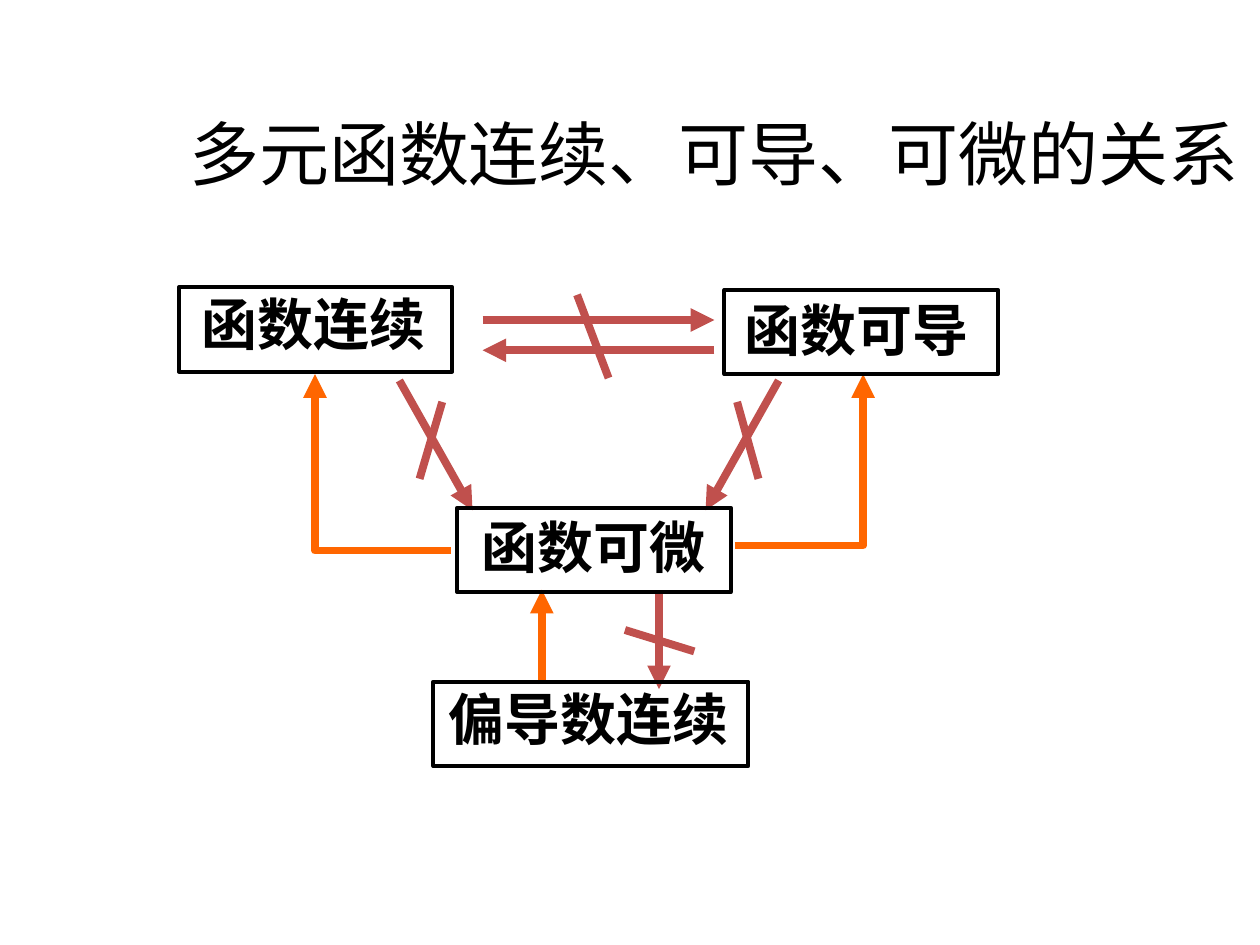
from lxml import etree
from pptx import Presentation
from pptx.dml.color import RGBColor
from pptx.enum.shapes import MSO_CONNECTOR as Connector, MSO_SHAPE as Shape
from pptx.enum.text import MSO_ANCHOR as Anchor, MSO_AUTO_SIZE as AutoSize, PP_ALIGN as Align
from pptx.oxml.ns import qn
from pptx.util import Inches, Pt

COLORS = {"text": "000000", "fails": "C0504D", "implies": "FF6600"}

# Each failing implication: its arrows, then the stroke that crosses them out.
FAILING = [
    ([(3.17, 3.02, 3.75, 4.05)], (3.51, 3.19, 3.33, 3.8)),
    ([(3.83, 2.54, 5.67, 2.54), (5.67, 2.78, 3.83, 2.78)], (4.58, 2.34, 4.83, 3)),
    ([(5.23, 4.7, 5.23, 5.47)], (4.96, 5, 5.51, 5.17)),
    ([(6.18, 3.02, 5.6, 4.05)], (5.85, 3.19, 6.02, 3.8)),
]
ELBOWS = [(5.83, 4.33, 6.85, 2.97), (3.58, 4.37, 2.5, 2.97)]
STRAIGHT = (4.3, 5.43, 4.3, 4.68)

# Wording, label (left, top, width), frame (left, top, width)
CONCEPTS = [
    ("函数可微", (3.72, 4.02, 2.52), (3.63, 4.03, 2.17)),
    ("函数连续", (1.5, 2.25, 2.66), (1.42, 2.28, 2.17)),
    ("偏导数连续", (3.46, 5.38, 2.7), (3.44, 5.41, 2.5)),
    ("函数可导", (5.81, 2.3, 2.52), (5.75, 2.3, 2.17)),
]
LABEL_HEIGHT, FRAME_HEIGHT = 0.64, 0.67


def rgb(name):
    return RGBColor.from_string(COLORS[name])


def add_line(slide, points, color, arrow=True, elbow=False):
    """Draw a connector; an elbow runs sideways first, then vertically."""
    kind = Connector.ELBOW if elbow else Connector.STRAIGHT
    line = slide.shapes.add_connector(kind, *map(Inches, points))
    line.line.color.rgb = rgb(color)
    line.line.width = Pt(4.5)
    properties = line._element.spPr
    if elbow:
        properties.find(qn("a:prstGeom")).set("prst", "bentConnector2")
    if arrow:
        etree.SubElement(properties.find(qn("a:ln")), qn("a:tailEnd"), type="triangle")
    etree.SubElement(properties, qn("a:effectLst"))


def add_text(slide, text, box, size, font, bold=False):
    shape = slide.shapes.add_textbox(*map(Inches, box))
    shape.text_frame.word_wrap = True
    paragraph = shape.text_frame.paragraphs[0]
    run = paragraph.add_run()
    run.text = text
    run.font.size = Pt(size)
    run.font.name = font
    run.font.bold = bold
    run.font.color.rgb = rgb("text")
    return shape.text_frame, paragraph


def add_title(slide, text):
    frame, paragraph = add_text(slide, text, (1.33, 0.92, 8.67, 1.25), 40, "Cabin")
    frame.vertical_anchor = Anchor.MIDDLE
    paragraph.alignment = Align.CENTER
    paragraph.font.size = Pt(40)
    paragraph.add_line_break()


def add_label(slide, text, place):
    frame, paragraph = add_text(slide, text, (*place, LABEL_HEIGHT), 32, "Times New Roman", bold=True)
    frame.auto_size = AutoSize.SHAPE_TO_FIT_TEXT
    paragraph.space_before = Pt(20)


def add_frame(slide, place):
    frame = slide.shapes.add_shape(Shape.RECTANGLE, *map(Inches, (*place, FRAME_HEIGHT)))
    frame.shadow.inherit = False
    frame.fill.background()
    frame.line.color.rgb = rgb("text")
    frame.line.width = Pt(2.25)


def main():
    presentation = Presentation()
    presentation.slide_width, presentation.slide_height = Inches(10), Inches(7.5)
    slide = presentation.slides.add_slide(presentation.slide_layouts[6])

    for arrows, stroke in FAILING:
        for arrow in arrows:
            add_line(slide, arrow, "fails")
        add_line(slide, stroke, "fails", arrow=False)
    for elbow in ELBOWS:
        add_line(slide, elbow, "implies", elbow=True)
    add_line(slide, STRAIGHT, "implies")

    for text, label, _ in CONCEPTS:
        add_label(slide, text, label)
    for _, _, frame in CONCEPTS:
        add_frame(slide, frame)
    add_title(slide, "多元函数连续、可导、可微的关系")

    presentation.save("out.pptx")


if __name__ == "__main__":
    main()
